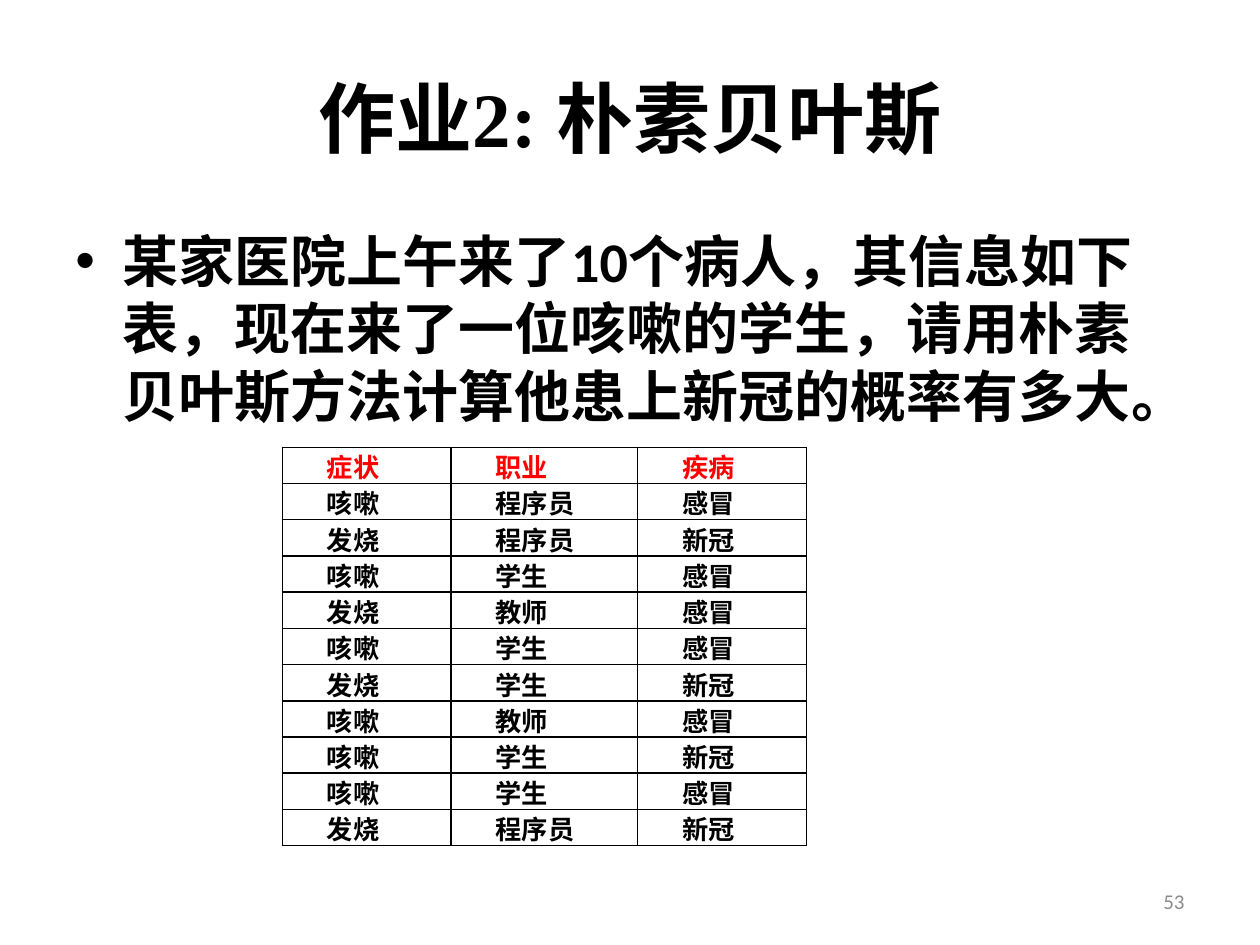
from dataclasses import dataclass

from lxml import etree
from pptx import Presentation
from pptx.dml.color import RGBColor
from pptx.enum import text
from pptx.oxml import ns
from pptx.util import Pt


@dataclass(frozen=True)
class Theme:
    black: str = "000000"
    red: str = "FF0000"
    gray: str = "8C8C8C"
    title_font: str = "Times New Roman"
    body_font: str = "Calibri"
    title_size: float = 44
    body_size: float = 32
    table_size: float = 15
    number_size: float = 12


THEME = Theme()

PATIENTS = [
    ("症状", "职业", "疾病"),
    ("咳嗽", "程序员", "感冒"),
    ("发烧", "程序员", "新冠"),
    ("咳嗽", "学生", "感冒"),
    ("发烧", "教师", "感冒"),
    ("咳嗽", "学生", "感冒"),
    ("发烧", "学生", "新冠"),
    ("咳嗽", "教师", "感冒"),
    ("咳嗽", "学生", "新冠"),
    ("咳嗽", "学生", "感冒"),
    ("发烧", "程序员", "新冠"),
]
COLUMN_WIDTHS = (96.5, 106.5, 96.5)
ROW_HEIGHT = 20.7


def style(para, size, color=THEME.black, name=THEME.body_font, bold=True):
    font = para.font
    font.size = Pt(size)
    font.name = name
    font.bold = bold
    font.color.rgb = RGBColor.from_string(color)


def indent(para, left, first, bullet=None):
    properties = para._p.get_or_add_pPr()
    properties.set("marL", str(Pt(left)))
    properties.set("indent", str(Pt(first)))
    if bullet:
        etree.SubElement(properties, ns.qn("a:buFont"), typeface="Arial")
        etree.SubElement(properties, ns.qn("a:buChar"), char=bullet)


def add_title(slide, wording):
    title = slide.shapes.title
    title.left, title.top, title.width, title.height = Pt(36), Pt(21.6), Pt(648), Pt(90)
    title.text_frame.text = wording
    title.text_frame.vertical_anchor = text.MSO_ANCHOR.MIDDLE
    para = title.text_frame.paragraphs[0]
    para.alignment = text.PP_ALIGN.CENTER
    style(para, THEME.title_size, name=THEME.title_font)


def add_text(slide, wording, left, top, width, height):
    box = slide.shapes.add_textbox(Pt(left), Pt(top), Pt(width), Pt(height))
    box.text_frame.word_wrap = True
    box.text_frame.text = wording
    return box.text_frame


def add_question(slide, wording):
    frame = add_text(slide, wording, 36, 126, 648, 356.4)
    para = frame.paragraphs[0]
    indent(para, 27, -27, "•")
    style(para, THEME.body_size)


def add_page_number(slide, number):
    frame = add_text(slide, number, 516, 500.4, 168, 28.8)
    frame.vertical_anchor = text.MSO_ANCHOR.MIDDLE
    para = frame.paragraphs[0]
    para.alignment = text.PP_ALIGN.RIGHT
    style(para, THEME.number_size, THEME.gray, bold=False)


def add_borders(cell):
    properties = cell._tc.get_or_add_tcPr()
    for side in ("lnL", "lnR", "lnT", "lnB"):
        line = etree.SubElement(properties, ns.qn(f"a:{side}"), w=str(Pt(1)))
        fill = etree.SubElement(line, ns.qn("a:solidFill"))
        etree.SubElement(fill, ns.qn("a:srgbClr"), val=THEME.black)


def fill_cell(cell, wording, color):
    add_borders(cell)
    cell.fill.background()
    cell.margin_left = cell.margin_right = Pt(4.5)
    cell.margin_top = cell.margin_bottom = Pt(0)
    cell.text = wording
    para = cell.text_frame.paragraphs[0]
    para.alignment = text.PP_ALIGN.JUSTIFY
    indent(para, 0, 21)
    style(para, THEME.table_size, color)


def add_patient_table(slide):
    table = slide.shapes.add_table(
        len(PATIENTS), len(COLUMN_WIDTHS), Pt(161.3), Pt(255.6),
        Pt(sum(COLUMN_WIDTHS)), Pt(ROW_HEIGHT * len(PATIENTS)),
    ).table
    table.first_row = table.horz_banding = False
    for column, width in zip(table.columns, COLUMN_WIDTHS):
        column.width = Pt(width)
    for index, patient in enumerate(PATIENTS):
        table.rows[index].height = Pt(ROW_HEIGHT)
        color = THEME.black if index else THEME.red
        for cell, wording in zip(table.rows[index].cells, patient):
            fill_cell(cell, wording, color)


def main():
    deck = Presentation()
    deck.slide_width, deck.slide_height = Pt(720), Pt(540)
    slide = deck.slides.add_slide(deck.slide_layouts[5])
    add_title(slide, "作业2: 朴素贝叶斯")
    add_question(
        slide,
        "某家医院上午来了10个病人，其信息如下表，现在来了一位咳嗽的学生，"
        "请用朴素贝叶斯方法计算他患上新冠的概率有多大。",
    )
    add_page_number(slide, "53")
    add_patient_table(slide)
    deck.save("out.pptx")


if __name__ == "__main__":
    main()
